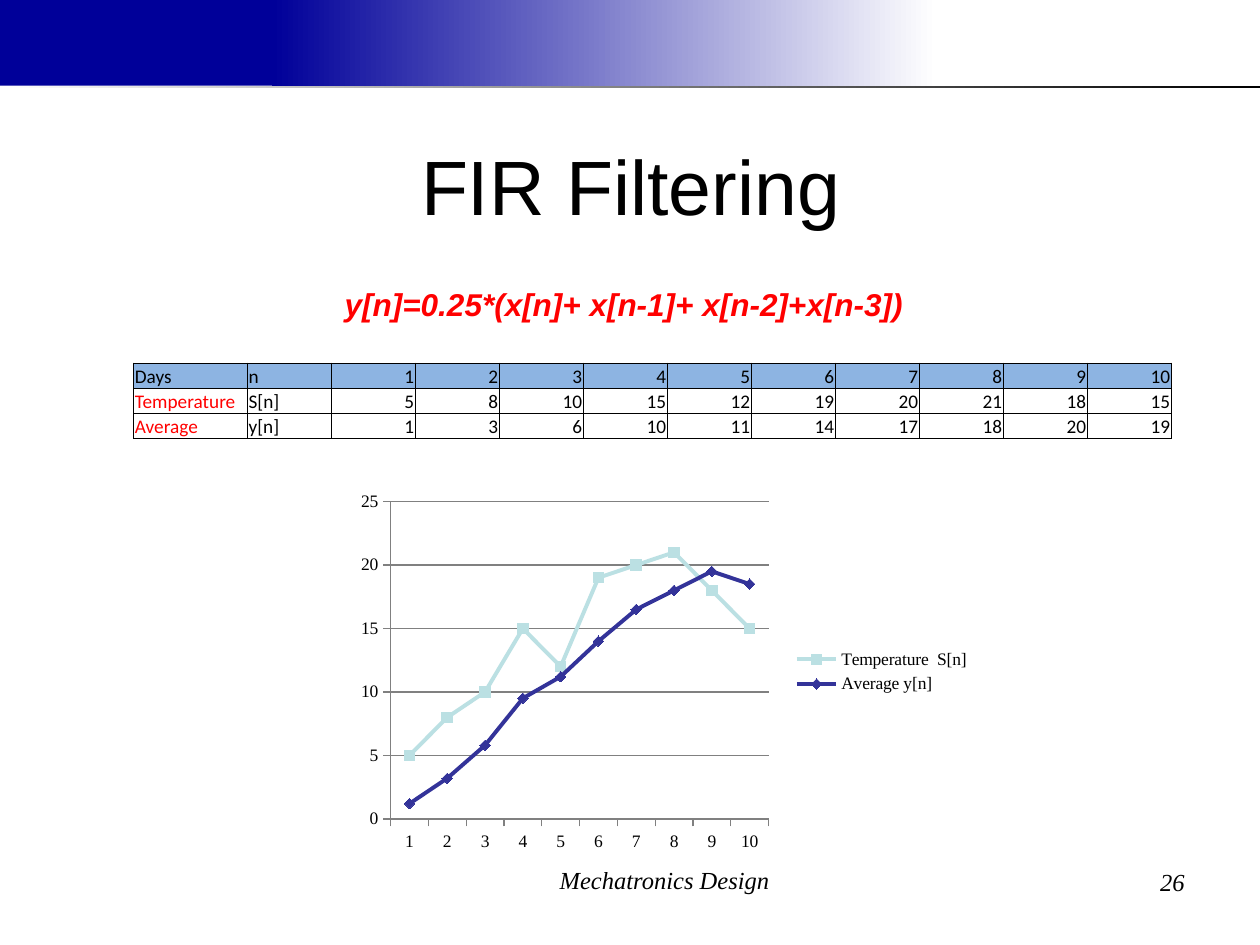
from lxml import etree
from pptx import Presentation
from pptx.chart.data import CategoryChartData
from pptx.dml.color import RGBColor
from pptx.enum.chart import (XL_CHART_TYPE, XL_LEGEND_POSITION as LEGEND,
                             XL_MARKER_STYLE as MARKER, XL_TICK_MARK as TICK)
from pptx.enum.shapes import MSO_SHAPE as SHAPE
from pptx.enum.text import MSO_ANCHOR as ANCHOR, PP_ALIGN as ALIGN
from pptx.oxml import parse_xml
from pptx.oxml.ns import nsdecls, qn
from pptx.util import Pt

BLACK = RGBColor(0x00, 0x00, 0x00)
WHITE = RGBColor(0xFF, 0xFF, 0xFF)
RED = RGBColor(0xFF, 0x00, 0x00)
NAVY = RGBColor(0x00, 0x00, 0x99)
HEADER_BLUE = RGBColor(0x8D, 0xB4, 0xE2)
PALE_TEAL = RGBColor(0xBB, 0xE0, 0xE3)
INDIGO = RGBColor(0x33, 0x33, 0x99)
GRAY = RGBColor(0x80, 0x80, 0x80)


def write(frame, text, align, color, font_format):
    """Fill the first paragraph of a text frame and return it."""
    para = frame.paragraphs[0]
    para.alignment = align
    span = para.add_run()
    span.text = text
    span.font.color.rgb = color
    for name, value in font_format.items():
        setattr(span.font, name, value)
    return para


deck = Presentation()
deck.slide_width, deck.slide_height = Pt(720), Pt(540)
page = deck.slides.add_slide(deck.slide_layouts[6])
shapes = page.shapes

# Banner: left, top, width, height, colours from left to right
banner = [
    (0, 0, 155.5, 49, [NAVY]),
    (155.5, 0, 380, 49, [NAVY, WHITE]),
    (0, 49, 720, 1.4, [WHITE, BLACK]),
]
for left, top, width, height, colors in banner:
    band = shapes.add_shape(SHAPE.RECTANGLE, Pt(left), Pt(top), Pt(width), Pt(height))
    band.shadow.inherit = False
    band.line.fill.background()
    if len(colors) == 1:
        band.fill.solid()
        band.fill.fore_color.rgb = colors[0]
    else:
        band.fill.gradient()
        band.fill.gradient_angle = 0
        for stop, color in zip(band.fill.gradient_stops, colors):
            stop.color.rgb = color

# Title, formula and footer
title_format = {"size": Pt(44), "name": "Arial"}
formula_format = {"size": Pt(18), "name": "Arial", "bold": True, "italic": True}
footer_format = {"size": Pt(14), "name": "Times New Roman", "italic": True}
texts = [
    ("FIR Filtering", 36.5, 60.5, 648, 90, ALIGN.CENTER, ANCHOR.MIDDLE, BLACK, title_format),
    ("y[n]=0.25*(x[n]+ x[n-1]+ x[n-2]+x[n-3])", 188, 162, 337, 26.6,
     ALIGN.CENTER, ANCHOR.TOP, RED, formula_format),
    ("Mechatronics Design", 257.8, 491, 244, 37.5, ALIGN.CENTER, ANCHOR.TOP, BLACK, footer_format),
    ("26", 516, 491.8, 168, 37.5, ALIGN.RIGHT, ANCHOR.TOP, BLACK, footer_format),
]
for text, left, top, width, height, align, anchor, color, font_format in texts:
    box = shapes.add_textbox(Pt(left), Pt(top), Pt(width), Pt(height))
    frame = box.text_frame
    frame.word_wrap = font_format is not formula_format
    frame.vertical_anchor = anchor
    para = write(frame, text, align, color, font_format)
    if font_format is formula_format:
        para.line_spacing = 0.9

# Table of days, temperatures and averages
days = list(range(1, 11))
temperatures = [5, 8, 10, 15, 12, 19, 20, 21, 18, 15]
rows = [
    ["Days", "n", *days],
    ["Temperature", "S[n]", *temperatures],
    ["Average", "y[n]", 1, 3, 6, 10, 11, 14, 17, 18, 20, 19],
]
label_width, value_width, row_height = 65, 48, 14.4
column_count = len(rows[0])
table = shapes.add_table(
    len(rows), column_count, Pt(76.4), Pt(207.5),
    Pt(label_width + value_width * (column_count - 1)), Pt(row_height * len(rows))).table
table.first_row = table.horz_banding = False
for index, column in enumerate(table.columns):
    column.width = Pt(value_width if index else label_width)

cell_format = {
    "margin_left": Pt(0.7), "margin_right": Pt(0.7), "margin_top": Pt(0.7),
    "margin_bottom": Pt(0), "vertical_anchor": ANCHOR.BOTTOM,
}
table_font = {"size": Pt(11), "name": "Calibri"}
for row_index, values in enumerate(rows):
    table.rows[row_index].height = Pt(row_height)
    for column_index, value in enumerate(values):
        cell = table.cell(row_index, column_index)
        for name, setting in cell_format.items():
            setattr(cell, name, setting)
        is_series_label = row_index > 0 and column_index == 0
        write(cell.text_frame, str(value),
              ALIGN.LEFT if column_index < 2 else ALIGN.RIGHT,
              RED if is_series_label else BLACK, table_font)
        properties = cell._tc.get_or_add_tcPr()
        for side in ("lnL", "lnR", "lnT", "lnB"):
            properties.append(parse_xml(
                f'<a:{side} {nsdecls("a")} w="{Pt(0.5)}"><a:solidFill>'
                f'<a:srgbClr val="{BLACK}"/></a:solidFill></a:{side}>'))
        if row_index == 0:
            cell.fill.solid()
            cell.fill.fore_color.rgb = HEADER_BLUE
        else:
            cell.fill.background()

# Line chart
chart_data = CategoryChartData()
chart_data.categories = [str(day) for day in days]
chart_data.add_series("Temperature  S[n]", temperatures)
chart_data.add_series("Average y[n]", [1.2, 3.2, 5.8, 9.5, 11.2, 14, 16.5, 18, 19.5, 18.5])
chart = shapes.add_chart(XL_CHART_TYPE.LINE_MARKERS, Pt(201.6), Pt(275.8),
                         Pt(360), Pt(216), chart_data).chart
chart.has_title = False
chart.font.size = Pt(10)
chart.font.name = "Times New Roman"
chart.font.color.rgb = BLACK
chart.has_legend = True
chart.legend.position = LEGEND.RIGHT
chart.legend.include_in_layout = False

for axis in (chart.category_axis, chart.value_axis):
    axis.major_tick_mark = TICK.OUTSIDE
    axis.minor_tick_mark = TICK.NONE
    axis.format.line.color.rgb = GRAY
value_axis = chart.value_axis
value_axis.minimum_scale, value_axis.maximum_scale, value_axis.major_unit = 0, 25, 5
value_axis.has_major_gridlines = True
value_axis.major_gridlines.format.line.color.rgb = GRAY

plot = chart.plots[0]
plot.vary_by_categories = False
series_styles = [(PALE_TEAL, MARKER.SQUARE), (INDIGO, MARKER.DIAMOND)]
for series, (color, marker_style) in zip(plot.series, series_styles):
    series.smooth = False
    series.format.line.color.rgb = color
    series.format.line.width = Pt(2.25)
    series.marker.style = marker_style
    series.marker.size = 6
    series.marker.format.fill.solid()
    series.marker.format.fill.fore_color.rgb = color
    series.marker.format.line.color.rgb = color

plot_area = chart._chartSpace.chart.plotArea
for old_layout in plot_area.findall(qn("c:layout")):
    plot_area.remove(old_layout)
layout = etree.Element(qn("c:layout"))
manual = etree.SubElement(layout, qn("c:manualLayout"))
for name, value in [("layoutTarget", "inner"), ("xMode", "edge"), ("yMode", "edge"),
                    ("x", "0.06"), ("y", "0.05"), ("w", "0.6"), ("h", "0.84")]:
    etree.SubElement(manual, qn(f"c:{name}")).set("val", value)
plot_area.insert(0, layout)

deck.save("out.pptx")
